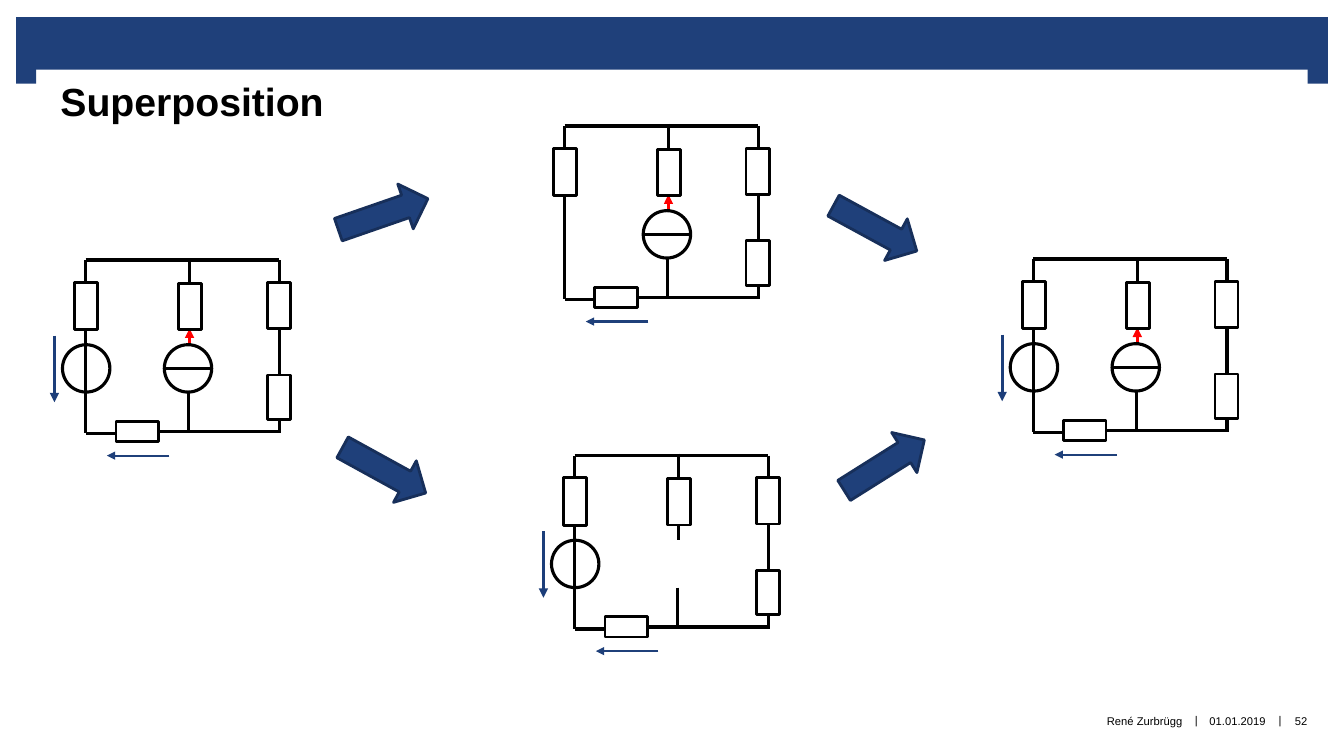
from lxml.etree import SubElement
from pptx import Presentation
from pptx.dml.color import RGBColor
from pptx.enum.shapes import MSO_CONNECTOR, MSO_SHAPE
from pptx.enum.text import MSO_ANCHOR, MSO_AUTO_SIZE, PP_ALIGN
from pptx.oxml.ns import qn
from pptx.util import Inches, Pt

BLUE = RGBColor(0x1F, 0x40, 0x7A)
NAVY = RGBColor(0x1C, 0x3E, 0x7A)
EDGE = RGBColor(0x17, 0x2F, 0x5A)
RED = RGBColor(0xFF, 0, 0)
BLACK = RGBColor(0, 0, 0)
WHITE = RGBColor(0xFF, 0xFF, 0xFF)

TITLE = "Superposition"
BANNER = [(0.16, 0.17, 13.01, 0.52), (0.16, 0.65, 0.2, 0.18), (12.97, 0.65, 0.2, 0.18)]
FOOTER = [  # text, left, width, alignment
    ("René Zurbrügg", 6.66, 5.07, PP_ALIGN.RIGHT),
    ("|", 11.79, 0.15, PP_ALIGN.CENTER),
    ("01.01.2019", 11.94, 0.67, PP_ALIGN.CENTER),
    ("|", 12.62, 0.15, PP_ALIGN.CENTER),
    ("52", 12.71, 0.39, PP_ALIGN.CENTER),
]

# Circuit parts, measured from the top left corner of the wiring
WIRES = [
    (0, 0, 1.92, 0), (0, 0, 0, 1.72), (1.92, 0, 1.92, 1.72),
    (1.03, -0.02, 1.03, 0.84), (1.02, 1.31, 1.02, 1.72),
    (0, 1.72, 0.3, 1.72), (0.72, 1.7, 1.92, 1.7),
]
RESISTORS = [
    (-0.11, 0.22, 0.23, 0.47), (0.92, 0.23, 0.23, 0.46), (1.8, 0.22, 0.23, 0.46),
    (1.8, 1.14, 0.23, 0.44), (0.3, 1.6, 0.42, 0.2),
]
SIZE = 0.47
VOLTAGE = (-0.23, 0.84)
CURRENT = (0.78, 0.84)
CIRCUITS = [  # left, top, has voltage source, has current source
    (0.85, 2.58, True, True),
    (5.7, 4.52, True, False),
    (5.6, 1.25, False, True),
    (10.25, 2.57, True, True),
]
STEPS = [(3.33, 1.89, 340.9), (3.34, 4.43, 28.8), (8.3, 4.38, 327.8), (8.21, 2.03, 28.6)]


def add_line(shapes, ends, color=BLACK, width=2.25, arrow=False):
    line = shapes.add_connector(MSO_CONNECTOR.STRAIGHT, *map(Inches, ends))
    line.line.color.rgb = color
    line.line.width = Pt(width)
    if arrow:
        SubElement(line.line._get_or_add_ln(), qn("a:tailEnd"), type="triangle")
    SubElement(line._element.spPr, qn("a:effectLst"))


def add_form(shapes, kind, box, fill=None, edge=None, width=2):
    form = shapes.add_shape(kind, *map(Inches, box))
    form.shadow.inherit = False
    if fill is None:
        form.fill.background()
    else:
        form.fill.solid()
        form.fill.fore_color.rgb = fill
    if edge is None:
        form.line.fill.background()
    else:
        form.line.color.rgb = edge
        form.line.width = Pt(width)
    return form


def add_circuit(slide, left, top, voltage, current):
    shapes = slide.shapes.add_group_shape().shapes

    def move(part):
        x, y, *rest = part
        return (left + x, top + y, *rest)

    def span(x1, y1, x2, y2):
        return left + x1, top + y1, left + x2, top + y2

    def add_source(spot):
        add_form(shapes, MSO_SHAPE.OVAL, move((*spot, SIZE, SIZE)), edge=BLACK, width=2.25)

    for wire in WIRES:
        add_line(shapes, span(*wire))
    if voltage:
        add_source(VOLTAGE)
        add_line(shapes, span(-0.31, 0.75, -0.31, 1.41), NAVY, 2.25, True)
    if current:
        x, y = CURRENT
        add_source(CURRENT)
        add_line(shapes, span(x, y + SIZE / 2, x + SIZE, y + SIZE / 2))
        add_line(shapes, span(1.03, 0.82, 1.03, 0.68), RED, 2.25, True)
    add_line(shapes, span(0.83, 1.94, 0.21, 1.94), BLUE, 1.5, True)
    for box in RESISTORS:
        add_form(shapes, MSO_SHAPE.RECTANGLE, move(box), WHITE, BLACK)


def set_font(frame, size, bold=False):
    font = frame.paragraphs[0].runs[0].font
    font.name, font.size, font.bold = "Arial", Pt(size), bold
    font.color.rgb = BLACK


def set_margins(frame, left, top, right, bottom):
    frame.margin_left, frame.margin_top = Inches(left), Inches(top)
    frame.margin_right, frame.margin_bottom = Inches(right), Inches(bottom)


def add_title(slide):
    title = slide.shapes.title
    title.left, title.top = Inches(0.44), Inches(0.65)
    title.width, title.height = Inches(11), Inches(1.59)
    frame = title.text_frame
    frame.text = TITLE
    frame.auto_size = MSO_AUTO_SIZE.NONE
    frame.vertical_anchor = MSO_ANCHOR.TOP
    set_margins(frame, 0.16, 0.12, 0.16, 0)
    frame.paragraphs[0].alignment = PP_ALIGN.LEFT
    set_font(frame, 28, True)


def add_footer(slide):
    for text, left, width, align in FOOTER:
        top = 6.89 if text == "|" else 6.9
        box = slide.shapes.add_textbox(*map(Inches, (left, top, width, 0.51)))
        frame = box.text_frame
        frame.text = text
        frame.word_wrap = False
        frame.vertical_anchor = MSO_ANCHOR.MIDDLE
        set_margins(frame, 0, 0, 0, 0)
        frame.paragraphs[0].alignment = align
        set_font(frame, 8)


def main():
    deck = Presentation()
    deck.slide_width, deck.slide_height = Inches(13.33), Inches(7.5)
    slide = deck.slides.add_slide(deck.slide_layouts[5])
    for box in BANNER:
        add_form(slide.shapes, MSO_SHAPE.RECTANGLE, box, BLUE)
    add_footer(slide)
    add_title(slide)
    for circuit in CIRCUITS:
        add_circuit(slide, *circuit)
    for left, top, angle in STEPS:
        box = (left, top, 0.94, 0.47)
        step = add_form(slide.shapes, MSO_SHAPE.RIGHT_ARROW, box, BLUE, EDGE)
        step.rotation = angle
    deck.save("out.pptx")


if __name__ == "__main__":
    main()
